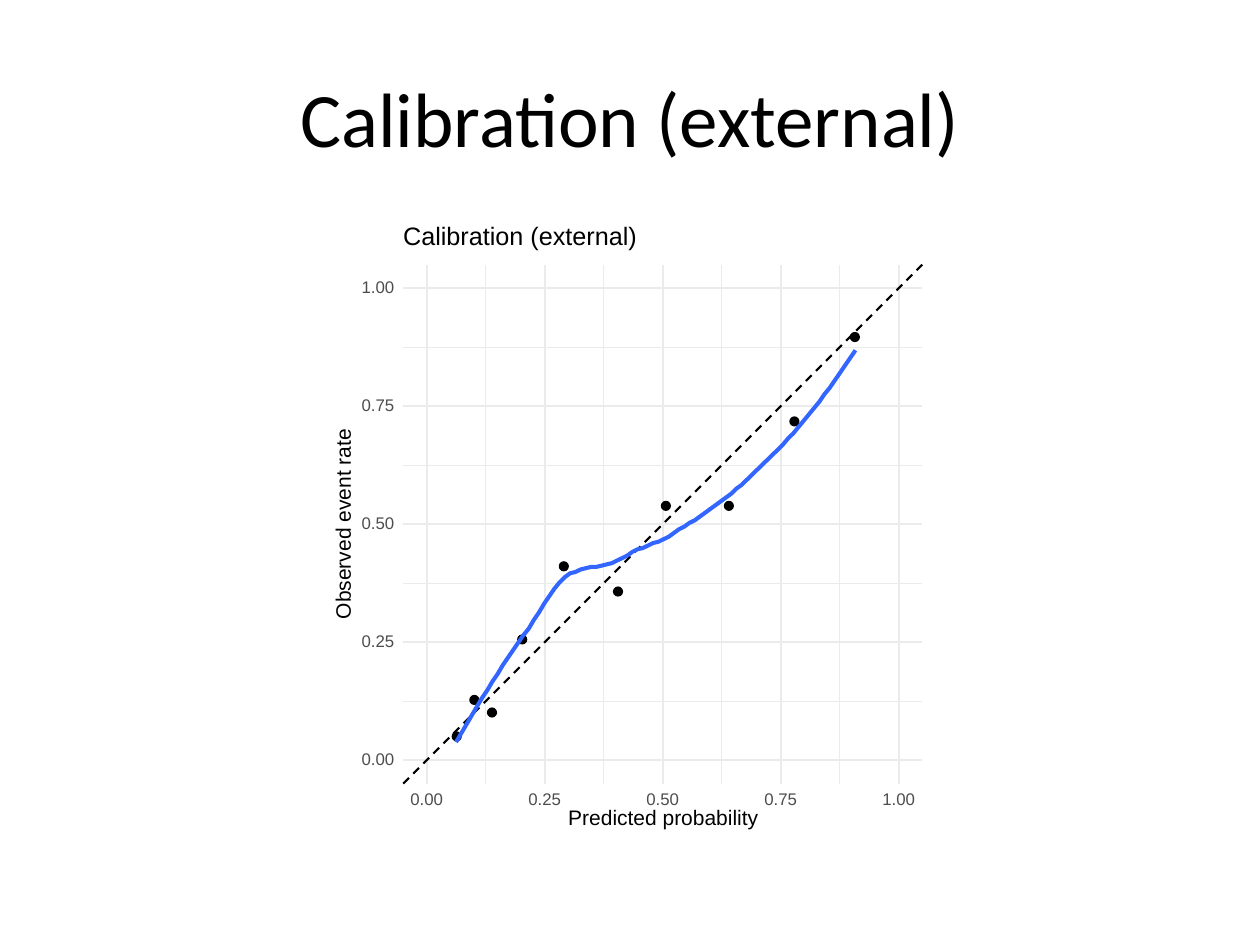
from lxml import etree
from pptx import Presentation
from pptx.dml.color import RGBColor
from pptx.enum.dml import MSO_LINE
from pptx.enum.shapes import MSO_CONNECTOR, MSO_SHAPE
from pptx.enum.text import MSO_ANCHOR, PP_ALIGN
from pptx.oxml.ns import qn
from pptx.util import Pt

PX = 9144
DASH = MSO_LINE.DASH
STRAIGHT = MSO_CONNECTOR.STRAIGHT
OVAL = MSO_SHAPE.OVAL
MIDDLE = MSO_ANCHOR.MIDDLE
LEFT, CENTER = PP_ALIGN.LEFT, PP_ALIGN.CENTER

COLORS = {"ink": "000000", "grid": "EBEBEB", "tick": "4D4D4D", "curve": "3366FF"}
TICKS = [0, 0.25, 0.5, 0.75, 1]
DOTS = [(39, 371), (53, 342), (67, 352), (91, 294), (124, 236),
        (167, 256), (205, 188), (255, 188), (307, 121), (355, 54)]
CURVE = [379, 372, 365, 358, 351, 344, 338, 331, 325, 318, 312, 306, 300, 294, 289, 282,
         276, 269, 263, 257, 252, 248, 245, 244, 242, 241, 240, 240, 239, 238, 237, 235,
         233, 231, 228, 226, 225, 223, 221, 220, 218, 216, 213, 210, 208, 205, 203, 200,
         197, 194, 191, 188, 185, 182, 178, 175, 171, 167, 163, 159, 155, 151, 147, 143,
         138, 134, 129, 124, 119, 114, 109, 103, 98, 92, 86, 80, 74, 68]


def emu(*sizes):
    """Turn px lengths into EMU."""
    return [round(size * PX) for size in sizes]


def color(name):
    """Look up a colour by name."""
    return RGBColor.from_string(COLORS[name])


def write(slide, box, text, size, font, ink="ink", align=LEFT):
    """Add one line of text, centred vertically in its box."""
    shape = slide.shapes.add_textbox(*emu(*box))
    shape.text_frame.vertical_anchor = MIDDLE
    line = shape.text_frame.paragraphs[0]
    line.text = text
    line.alignment = align
    line.font.size = Pt(size)
    line.font.name = font
    line.font.color.rgb = color(ink)
    return shape


def label(slide, box, text, size, ink="ink"):
    """Add a tight plot label without margins or wrapping."""
    shape = write(slide, box, text, size, "Arial", ink)
    frame = shape.text_frame
    frame.word_wrap = False
    frame.margin_left = frame.margin_right = frame.margin_top = frame.margin_bottom = 0
    frame.paragraphs[0].line_spacing = Pt(size)
    return shape


def rule(slide, ends, ink, width, dash=None):
    """Add a straight line between two points."""
    line = slide.shapes.add_connector(STRAIGHT, *emu(*ends))
    line.line.color.rgb = color(ink)
    line.line.width = Pt(width)
    line.line.dash_style = dash
    etree.SubElement(line._element.spPr, qn("a:effectLst"))


def title(slide, box):
    """Place the slide title."""
    shape = write(slide, box, "Calibration (external)", 44, "Calibri", align=CENTER)
    shape.text_frame.word_wrap = True


def grid(slide, box):
    """Draw minor and major grid lines with tick labels."""
    left, top, width, height = box
    right, base = left + width, top + height

    def place(value):
        """Map a value to its point on both axes."""
        part = (value + 0.05) / 1.1
        return left + width * part, base - height * part

    minor = [tick + 0.125 for tick in TICKS[:-1]]
    for values, weight in ((minor, 0.58), (TICKS, 1.16)):
        for value in values:
            x, y = place(value)
            rule(slide, (left, y, right, y), "grid", weight)
            rule(slide, (x, base, x, top), "grid", weight)
    for value in TICKS:
        x, y = place(value)
        for spot in ((left - 33, y - 5), (x - 13, base + 8)):
            label(slide, (*spot, 26, 10), f"{value:.2f}", 9.6, "tick")


def series(slide, box):
    """Draw the ideal line, the observed dots and the fitted curve."""
    left, top, width, height = box
    rule(slide, (left, top + height, left + width, top), "ink", 1.16, DASH)
    for x, y in DOTS:
        dot = slide.shapes.add_shape(OVAL, *emu(left + x, top + y, 7, 7))
        dot.shadow.inherit = False
        dot.fill.solid()
        dot.fill.fore_color.rgb = dot.line.color.rgb = color("ink")
        dot.line.width = Pt(0.77)
    step = 317 / (len(CURVE) - 1)
    points = [emu(left + 42 + i * step, top + y) for i, y in enumerate(CURVE)]
    path = slide.shapes.build_freeform(*points[0])
    path.add_line_segments(points[1:], close=False)
    curve = path.convert_to_shape()
    curve.shadow.inherit = False
    curve.fill.background()
    curve.line.color.rgb = color("curve")
    curve.line.width = Pt(2.33)


def plot(slide, box):
    """Build the calibration plot around its panel box."""
    left, top, width, height = box
    grid(slide, box)
    series(slide, box)
    label(slide, (left + 131, top + height + 21, 151, 15), "Predicted probability", 12)
    side = label(slide, (left - 122, top + 200, 151, 12), "Observed event rate", 12)
    side.rotation = 270
    label(slide, (left, top - 31, 186, 19), "Calibration (external)", 14.4)


def main():
    """Build and save the slide."""
    deck = Presentation()
    deck.slide_width, deck.slide_height = emu(1000, 750)
    slide = deck.slides.add_slide(deck.slide_layouts[6])
    title(slide, (50, 30, 900, 125))
    plot(slide, (320, 210, 412, 412))
    deck.save("out.pptx")


if __name__ == "__main__":
    main()
